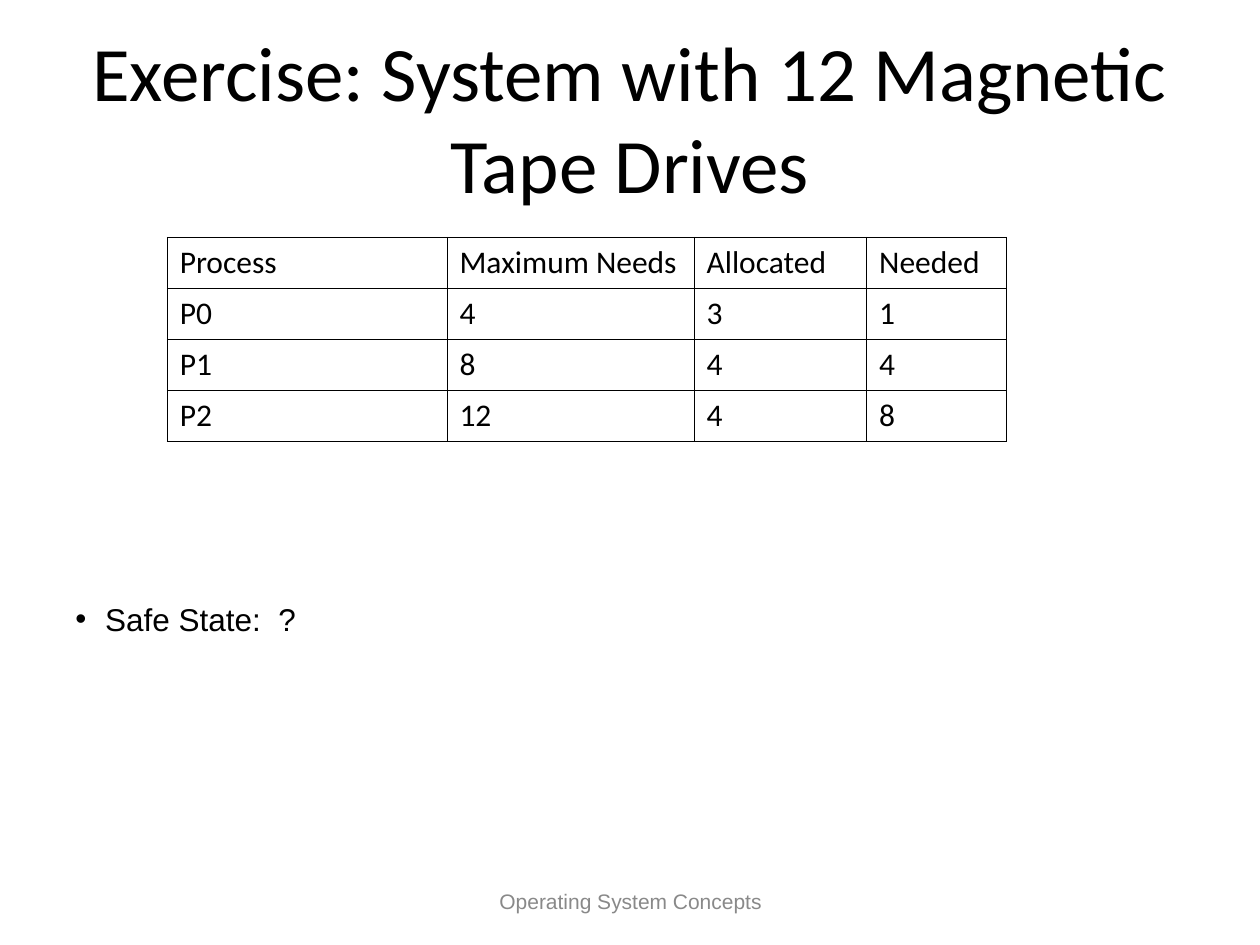
from pptx import Presentation
from pptx import util as u
from pptx.dml.color import RGBColor
from pptx.enum import text
from pptx.oxml import parse_xml
from pptx.oxml.ns import nsdecls

BLACK = RGBColor(0x00, 0x00, 0x00)
GREY = RGBColor(0x89, 0x89, 0x89)

# Content
TITLE = "Exercise: System with 12 Magnetic Tape Drives"
FOOTER = "Operating System Concepts"
QUESTION = "Safe State:  ?"
NEEDS = [
    ("Process", "Maximum Needs", "Allocated", "Needed"),
    ("P0", "4", "3", "1"),
    ("P1", "8", "4", "4"),
    ("P2", "12", "4", "8"),
]

# Formats
TITLE_FONT = {"name": "Calibri", "size": u.Pt(44)}
FOOTER_FONT = {"name": "Arial", "size": u.Pt(12)}
QUESTION_FONT = {"name": "Arial", "size": u.Pt(18)}
TABLE_FONT = {"name": "Calibri", "size": u.Pt(18)}

# Places in cm: left, top, width, height
TITLE_AT = (1.27, 0.76, 22.86, 3.18)
FOOTER_AT = (8.69, 17.65, 8.05, 1.02)
QUESTION_AT = (1.27, 11.2, 21.13, 2.54)
TABLE_LEFT, TABLE_TOP, ROW_HEIGHT = 3.37, 4.78, 1.03
COLUMN_WIDTHS = (5.64, 4.98, 3.48, 2.82)
BULLET_INDENT = u.Cm(0.6)
BORDER_WIDTH = u.Pt(0.45)


def style(paragraph, font_format, color=BLACK):
    for key, value in font_format.items():
        setattr(paragraph.font, key, value)
    paragraph.font.color.rgb = color


def add_text(slide, place, words):
    frame = slide.shapes.add_textbox(*map(u.Cm, place)).text_frame
    settings = {
        "word_wrap": True,
        "auto_size": text.MSO_AUTO_SIZE.NONE,
        "vertical_anchor": text.MSO_ANCHOR.MIDDLE,
        "text": words,
    }
    for key, value in settings.items():
        setattr(frame, key, value)
    return frame.paragraphs[0]


def add_bullet(paragraph):
    properties = paragraph._p.get_or_add_pPr()
    properties.set("marL", str(BULLET_INDENT))
    properties.set("indent", str(-BULLET_INDENT))
    for bullet in (
        f'<a:buClr {nsdecls("a")}><a:srgbClr val="{BLACK}"/></a:buClr>',
        f'<a:buFont {nsdecls("a")} typeface="Arial"/>',
        f'<a:buChar {nsdecls("a")} char="•"/>',
    ):
        properties.append(parse_xml(bullet))


def add_borders(cell):
    properties = cell._tc.get_or_add_tcPr()
    for position, side in enumerate("LRTB"):
        properties.insert(position, parse_xml(
            f'<a:ln{side} {nsdecls("a")} w="{BORDER_WIDTH}"><a:solidFill>'
            f'<a:srgbClr val="{BLACK}"/></a:solidFill></a:ln{side}>'))


def add_needs_table(slide):
    size = (sum(COLUMN_WIDTHS), ROW_HEIGHT * len(NEEDS))
    table = slide.shapes.add_table(
        len(NEEDS), len(COLUMN_WIDTHS),
        *map(u.Cm, (TABLE_LEFT, TABLE_TOP, *size))).table
    table.first_row = table.horz_banding = False
    for column, width in zip(table.columns, COLUMN_WIDTHS):
        column.width = u.Cm(width)
    for row, values in zip(table.rows, NEEDS):
        for cell, value in zip(row.cells, values):
            cell.text = value
            cell.fill.background()
            add_borders(cell)
            style(cell.text_frame.paragraphs[0], TABLE_FONT)


def main():
    deck = Presentation()
    deck.slide_width, deck.slide_height = u.Cm(25.4), u.Cm(19.05)
    slide = deck.slides.add_slide(deck.slide_layouts[6])

    # Title and footer
    for place, words, font_format, color in (
        (TITLE_AT, TITLE, TITLE_FONT, BLACK),
        (FOOTER_AT, FOOTER, FOOTER_FONT, GREY),
    ):
        line = add_text(slide, place, words)
        line.alignment = text.PP_ALIGN.CENTER
        style(line, font_format, color)

    # Needs of each process
    add_needs_table(slide)

    # Question
    question = add_text(slide, QUESTION_AT, QUESTION)
    add_bullet(question)
    style(question, QUESTION_FONT)

    deck.save("out.pptx")


if __name__ == "__main__":
    main()
